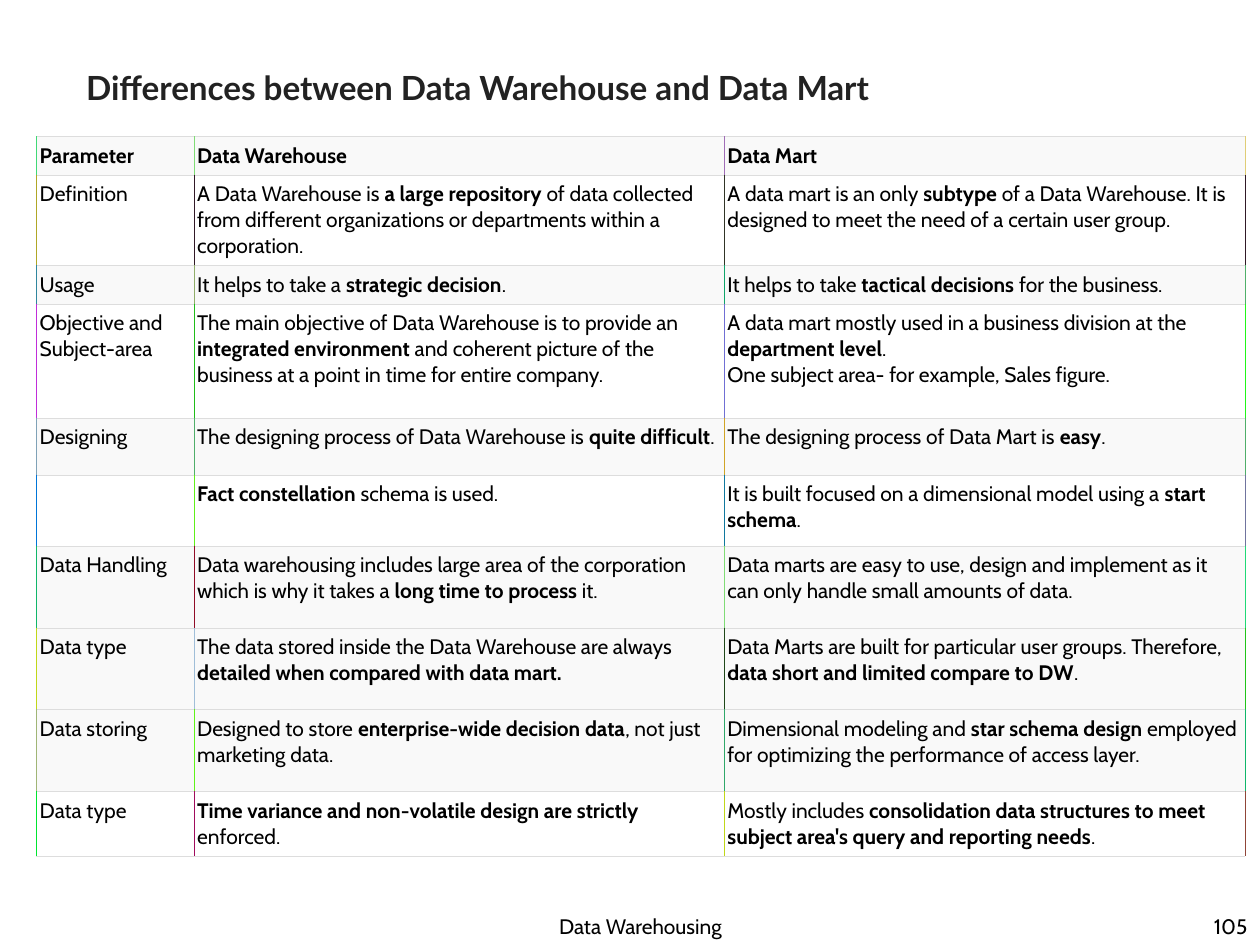
import dataclasses
import pptx
import pptx.util
import pptx.dml.color
import pptx.enum.text
import pptx.oxml

Pt = pptx.util.Pt
RGB = pptx.dml.color.RGBColor.from_string
Align = pptx.enum.text.PP_ALIGN
Anchor = pptx.enum.text.MSO_ANCHOR
NS = "http://schemas.openxmlformats.org/drawingml/2006/main"


@dataclasses.dataclass(frozen=True)
class Theme:
    """Colours, fonts and type sizes of the slide."""
    ink: str = "000000"
    head: str = "222222"
    white: str = "FFFFFF"
    band: str = "F9F9F9"
    rule: str = "DDDDDD"
    body_font: str = "Cabin"
    head_font: str = "Lato"
    body_size: float = 12
    head_size: float = 19


THEME = Theme()
COLS = (90, 303, 297.5)

# Each row: height, fill, upright rule colours, cells; asterisks mark bold text.
ROWS = [
    (21.7, THEME.band, "40D976 80DC76 A06EB7 E0CD76",
     ("*Parameter*", "*Data Warehouse*", "*Data Mart*")),
    (50.9, THEME.white, "B0A726 301926 303426 301926",
     ("Definition",
      "A Data Warehouse is *a large repository *of data collected from different "
      "organizations or departments within a corporation.",
      "A data mart is an only *subtype *of a Data Warehouse. It is designed to "
      "meet the need of a certain user group.")),
    (21.7, THEME.band, "30869E 90AD6A 10A46A 50B06A",
     ("Usage",
      "It helps to take a *strategic decision*.",
      "It helps to take *tactical decisions *for the business.")),
    (65.1, THEME.white, "C02DD9 20BD19 706FD4 20F619",
     ("Objective and\nSubject-area",
      "The main objective of Data Warehouse is to provide an *integrated "
      "environment *and coherent picture of the business at a point in time "
      "for entire company.",
      "A data mart mostly used in a business division at the *department "
      "level*.\nOne subject area- for example, Sales figure.")),
    (32.6, THEME.band, "80A2B7 50AE6A D0A426 50AE6A",
     ("Designing",
      "The designing process of Data Warehouse is *quite difficult*.",
      "The designing process of Data Mart is *easy*.")),
    (40.6, THEME.white, "0075D8 60EF19 10789E 70749E",
     ("",
      "*Fact constellation *schema is used.",
      "It is built focused on a dimensional model using a *start schema*.")),
    (46.8, THEME.band, "10B66A 900C26 80DC76 20D976",
     ("Data Handling",
      "Data warehousing includes large area of the corporation which is why it "
      "takes a *long time to process *it.",
      "Data marts are easy to use, design and implement as it can only handle "
      "small amounts of data.")),
    (46.8, THEME.band, "C0D719 A0BED8 20481A 20C41A",
     ("Data type",
      "The data stored inside the Data Warehouse are always *detailed when "
      "compared with data mart.*",
      "Data Marts are built for particular user groups. Therefore, *data short "
      "and limited compare to DW*.")),
    (46.8, THEME.band, "A0B576 60F319 30A86A 10B66A",
     ("Data storing",
      "Designed to store *enterprise-wide decision data*, not just marketing data.",
      "Dimensional modeling and *star schema design *employed for optimizing "
      "the performance of access layer.")),
    (36.6, THEME.white, "00E530 A00B5C C0D719 904538",
     ("Data type",
      "*Time variance and non-volatile design are strictly *enforced.",
      "Mostly includes *consolidation data structures to meet subject area's "
      "query and reporting needs*.")),
]


def style(para, name, size, color):
    """Set the font of a whole paragraph."""
    font = para.font
    font.name, font.size = name, Pt(size)
    font.color.rgb = RGB(color)


def write(frame, text):
    """Write marked text, one paragraph a line."""
    for i, line in enumerate(text.split("\n")):
        para = frame.add_paragraph() if i else frame.paragraphs[0]
        para.line_spacing = 1.01
        style(para, THEME.body_font, THEME.body_size, THEME.ink)
        for j, part in enumerate(line.split("*")):
            if part:
                run = para.add_run()
                run.text = part
                run.font.bold = j % 2 == 1


def edge(cell, sides):
    """Draw the four borders of a cell, given as side, colour and width."""
    props = cell._tc.get_or_add_tcPr()
    for i, (side, color, width) in enumerate(sides):
        props.insert(i, pptx.oxml.parse_xml(
            f'<a:ln{side} xmlns:a="{NS}" w="{Pt(width)}"><a:solidFill>'
            f'<a:srgbClr val="{color}"/></a:solidFill></a:ln{side}>'))


def add_grid(slide, left, top):
    """Place the comparison table."""
    shape = slide.shapes.add_table(
        len(ROWS), len(COLS), Pt(left), Pt(top),
        Pt(sum(COLS)), Pt(sum(row[0] for row in ROWS)))
    table = shape.table
    table.first_row = table.horz_banding = False
    for col, width in zip(table.columns, COLS):
        col.width = Pt(width)
    for r, (height, fill, rules, texts) in enumerate(ROWS):
        table.rows[r].height = Pt(height)
        rules = rules.split()
        for c, text in enumerate(texts):
            cell = table.cell(r, c)
            cell.margin_left = cell.margin_right = Pt(1.7)
            cell.margin_top = cell.margin_bottom = Pt(3.6)
            cell.fill.solid()
            cell.fill.fore_color.rgb = RGB(fill)
            edge(cell, (("L", rules[c], 0.45), ("R", rules[c + 1], 0.45),
                        ("T", THEME.rule, 0.34), ("B", THEME.rule, 0.34)))
            write(cell.text_frame, text)


def add_title(slide, left, top, width, height):
    """Place the slide title."""
    title = slide.shapes.title
    title.left, title.top = Pt(left), Pt(top)
    title.width, title.height = Pt(width), Pt(height)
    title.fill.solid()
    title.fill.fore_color.rgb = RGB(THEME.white)
    frame = title.text_frame
    frame.text = "Differences between Data Warehouse and Data Mart"
    frame.vertical_anchor = Anchor.MIDDLE
    frame.auto_size = pptx.enum.text.MSO_AUTO_SIZE.NONE
    para = frame.paragraphs[0]
    para.alignment = Align.LEFT
    style(para, THEME.head_font, THEME.head_size, THEME.head)
    para.font.bold = True


def add_note(slide, left, top, width, height, text, align):
    """Place one line of text at the foot of the slide."""
    box = slide.shapes.add_textbox(Pt(left), Pt(top), Pt(width), Pt(height))
    frame = box.text_frame
    frame.word_wrap = True
    frame.vertical_anchor = Anchor.BOTTOM
    frame.text = text
    para = frame.paragraphs[0]
    para.alignment = align
    style(para, THEME.body_font, THEME.body_size, THEME.ink)


def main():
    """Build and save the slide."""
    deck = pptx.Presentation()
    deck.slide_width, deck.slide_height = Pt(720), Pt(540)
    slide = deck.slides.add_slide(deck.slide_layouts[5])
    add_grid(slide, 21, 78)
    add_note(slide, 252, 498, 228, 42, "Data Warehousing", Align.CENTER)
    add_note(slide, 570, 504, 150, 36, "105", Align.RIGHT)
    add_title(slide, 42, 35, 540, 30)
    deck.save("out.pptx")


if __name__ == "__main__":
    main()
